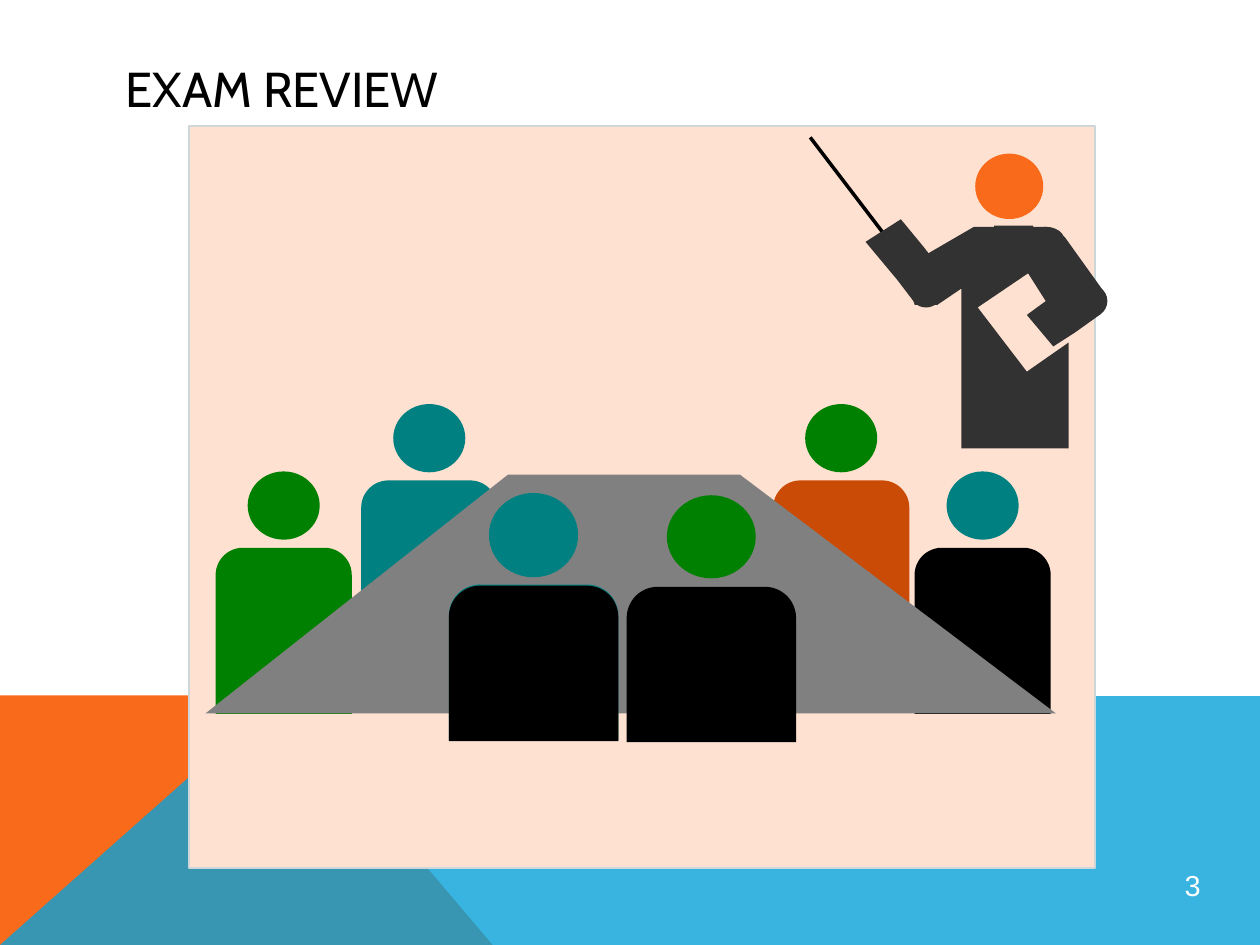
"""Build the exam review slide with its classroom scene."""
from dataclasses import dataclass

from lxml import etree
from pptx import Presentation
from pptx import util as u
from pptx.dml import color as col
from pptx.enum import shapes as sh, text as tx
from pptx.oxml import ns

Pt = u.Pt
Kind = sh.MSO_SHAPE


@dataclass(frozen=True)
class Theme:
    white: str = "FFFFFF"
    black: str = "000000"
    orange: str = "F96A1B"
    rust: str = "CA4B05"
    blue: str = "08A1D9"
    peach: str = "FEE1D1"
    edge: str = "CDD7D9"
    dark: str = "323232"
    teal: str = "008080"
    green: str = "008000"
    gray: str = "808080"
    title: float = 28
    page: float = 16.5


@dataclass(frozen=True)
class Size:
    body: tuple
    head: tuple
    rise: float


@dataclass(frozen=True)
class Person:
    x: float
    y: float
    size: Size
    head: str
    body: str


T = Theme()
BACK = Size((77.8, 95), (41.2, 39), 43.6)
FRONT = Size((96.8, 88.8), (50.8, 47.5), 52.3)


def paint(shape, fill: str | None, line: str | None = None, width: float = 1) -> None:
    shape.shadow.inherit = False
    if fill:
        shape.fill.solid()
        shape.fill.fore_color.rgb = col.RGBColor.from_string(fill)
    else:
        shape.fill.background()
    if line:
        shape.line.color.rgb = col.RGBColor.from_string(line)
        shape.line.width = Pt(width)
    else:
        shape.line.fill.background()


def form(pool, kind, box: tuple, fill: str | None, line: str | None = None, width: float = 1):
    shape = pool.add_shape(kind, *map(Pt, box))
    paint(shape, fill, line, width)
    return shape


def outline(pool, dots: list, fill: str):
    first, *rest = [(Pt(x), Pt(y)) for x, y in dots]
    pen = pool.build_freeform(*first)
    pen.add_line_segments(rest, close=True)
    shape = pen.convert_to_shape()
    paint(shape, fill)
    return shape


def seat(pool, who: Person) -> None:
    wide, high = who.size.body
    torso = form(pool, Kind.ROUND_2_SAME_RECTANGLE, (who.x, who.y, wide, high), who.body)
    torso.adjustments[0] = 0.2
    across, tall = who.size.head
    left = who.x + (wide - across) / 2
    form(pool, Kind.OVAL, (left, who.y - who.size.rise, across, tall), who.head)


def write(shape, words: str, face: str, size: float, tint: str, align, inset: tuple) -> None:
    frame = shape.text_frame
    frame.word_wrap = True
    frame.vertical_anchor = tx.MSO_ANCHOR.MIDDLE
    frame.margin_left = frame.margin_right = Pt(inset[0])
    frame.margin_top = frame.margin_bottom = Pt(inset[1])
    frame.text = words
    line = frame.paragraphs[0]
    line.alignment = align
    font = line.runs[0].font
    font.name, font.size = face, Pt(size)
    font.color.rgb = col.RGBColor.from_string(tint)


def floor(pool) -> None:
    outline(pool, [(0, 540), (0, 397.4), (160.6, 397.4), (281.5, 540)], T.orange)
    blue = outline(pool, [(0, 540), (160.6, 397.4), (720, 397.8), (720, 540)], T.blue)
    tint = blue.fill._xPr.find(ns.qn("a:solidFill"))[0]
    etree.SubElement(tint, ns.qn("a:alpha")).set("val", "80000")


def teacher(pool) -> None:
    stick = pool.add_connector(sh.MSO_CONNECTOR.STRAIGHT, Pt(511.9), Pt(142.6), Pt(463), Pt(78.5))
    stick.line.color.rgb = col.RGBColor.from_string(T.black)
    stick.line.width = Pt(2)
    etree.SubElement(stick._element.spPr, ns.qn("a:effectLst"))
    form(pool, Kind.OVAL, (557.3, 87.8, 38.9, 37.4), T.orange)
    outline(pool, [
        (589.7, 129.6), (597.6, 129.6), (608.4, 135.4), (630, 165.6), (629.3, 179.3),
        (614.2, 190.1), (601.9, 198), (586.8, 180), (592.6, 175.7), (597.6, 172.1),
        (587.5, 156.2), (558.7, 175.7), (586.8, 212.4), (610.6, 195.8), (610.6, 256.3),
        (549.4, 256.3), (549.4, 164.9), (535.7, 174.2), (522.7, 174.2), (522, 172.1),
        (512.6, 159.8), (494.6, 138.2), (514.8, 125.3), (527.8, 141.1), (530.6, 144.7),
        (556.6, 129.6)], T.dark)
    for joint in [(521.3, 162.7, 15.8, 13), (617, 163.4, 15.8, 17.3), (586.8, 129.6, 21.6, 15.8)]:
        form(pool, Kind.OVAL, joint, T.dark)
    form(pool, Kind.RECTANGLE, (568.1, 128.9, 22.3, 8.6), T.dark)


def scene(pool) -> None:
    form(pool, Kind.RECTANGLE, (108, 72, 517.7, 424.1), T.peach, T.edge)
    teacher(pool)
    for who in [
        Person(522.6, 313, BACK, T.teal, T.black),
        Person(441.8, 274.5, BACK, T.green, T.rust),
        Person(206.4, 274.5, BACK, T.teal, T.teal),
        Person(123.2, 313, BACK, T.green, T.green),
    ]:
        seat(pool, who)
    outline(pool, [(117.4, 407.7), (290.2, 271.3), (422.9, 271.3), (603.4, 407.7)], T.gray)
    for who in [
        Person(358.1, 335.3, FRONT, T.green, T.black),
        Person(256.5, 334, FRONT, T.teal, T.teal),
        Person(256.5, 334.7, FRONT, T.teal, T.black),
    ]:
        seat(pool, who)


def main() -> None:
    deck = Presentation()
    deck.slide_width, deck.slide_height = Pt(720), Pt(540)
    pool = deck.slides.add_slide(deck.slide_layouts[6]).shapes
    floor(pool)
    badge = form(pool, Kind.OVAL, (661.7, 486, 39.6, 39.6), None, T.white, 1.5)
    write(badge, "3", "Arial", T.page, T.white, tx.PP_ALIGN.CENTER, (0.72, 0.72))
    badge.line.fill.background()
    scene(pool.add_group_shape().shapes)
    title = pool.add_textbox(Pt(64.8), Pt(28.8), Pt(592.6), Pt(43.2))
    write(title, "EXAM REVIEW", "Cabin", T.title, T.black, tx.PP_ALIGN.LEFT, (7.2, 3.6))
    deck.save("out.pptx")


main()
